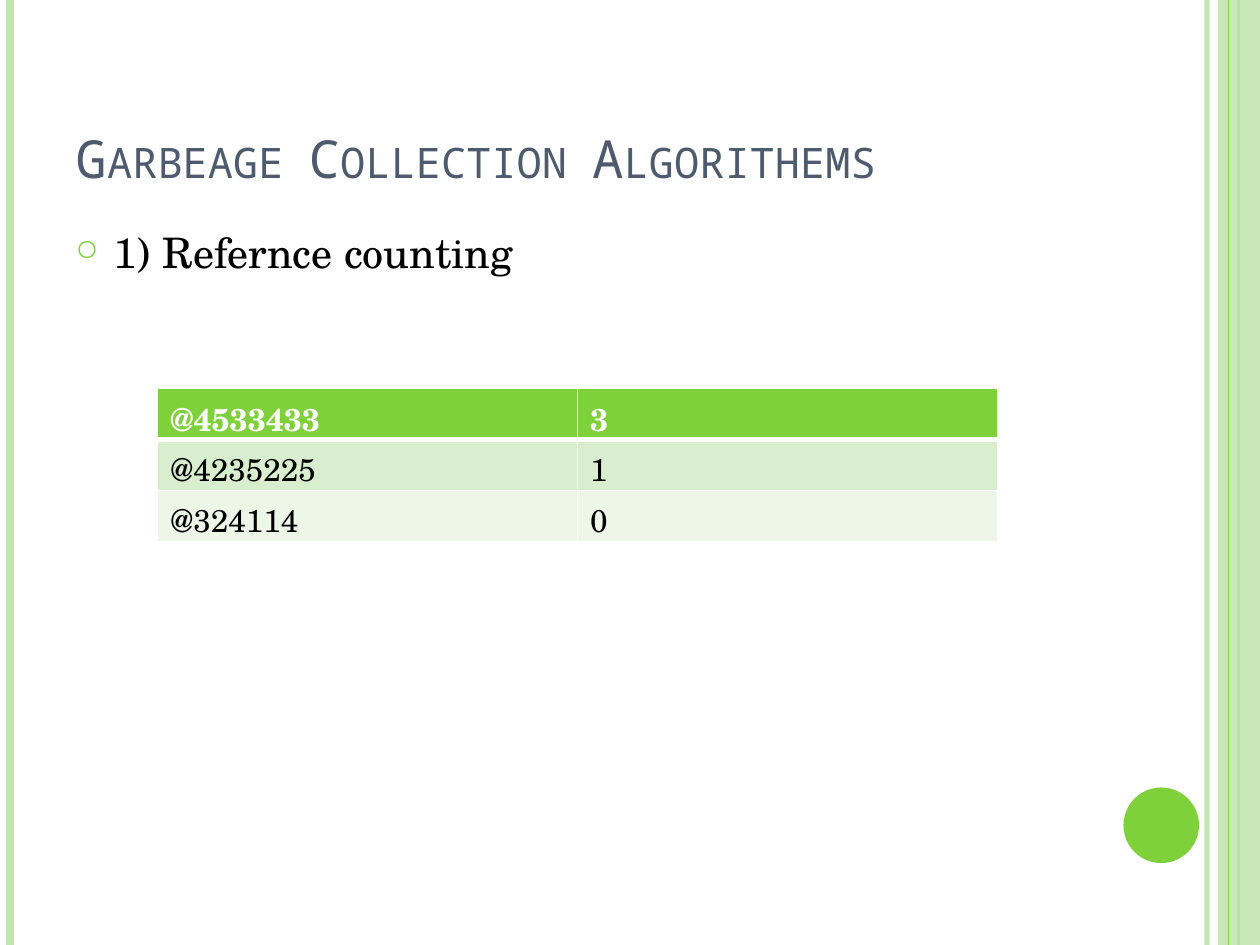
"""Build the slide on garbage collection by reference counting."""
import pptx
import pptx.util
import pptx.dml.color
import pptx.enum.shapes
import pptx.enum.text
import pptx.oxml
import lxml.etree

Pt = pptx.util.Pt
NAMESPACE = "http://schemas.openxmlformats.org/drawingml/2006/main"
COLORS = {"green": "7FD13B", "pale": "C0E5AF", "slate": "4E5B6F", "black": "000000",
          "white": "FFFFFF", "band": "D8EECE", "light": "ECF7E8"}
BODY_FONT = "TeX Gyre Schola"


def add_xml(parent, markup):
    """Append a drawing element written with the prefix a."""
    head, mark, tail = markup.partition(" ")
    head = head.rstrip("/>") if not mark else head
    element = pptx.oxml.parse_xml(f'{head} xmlns:a="{NAMESPACE}" {tail or "/>"}')
    parent.append(element)


def style(span, font, size, color, bold=False):
    """Format one run of text."""
    span.font.name = font
    span.font.size = Pt(size)
    span.font.bold = bold
    span.font.color.rgb = pptx.dml.color.RGBColor.from_string(COLORS[color])


deck = pptx.Presentation()
deck.slide_width, deck.slide_height = Pt(720), Pt(540)
page = deck.slides.add_slide(deck.slide_layouts[5])

stripes = [(689.8, "pale", 3, 93), (5.8, "pale", 4.5, 100),
           (707.8, "green", 1.5, 100), (702, "green", 0.75, 100)]
for x, color, width, opacity in stripes:
    stripe = page.shapes.add_connector(
        pptx.enum.shapes.MSO_CONNECTOR.STRAIGHT, Pt(x), Pt(0), Pt(x), Pt(540))
    stripe.line.width = Pt(width)
    stripe.line.color.rgb = pptx.dml.color.RGBColor.from_string(COLORS[color])
    if opacity < 100:
        tint = stripe.line._ln.find(f".//{{{NAMESPACE}}}srgbClr")
        add_xml(tint, f'<a:alpha val="{opacity * 1000}"/>')
    add_xml(stripe._element.spPr, "<a:effectLst/>")
top_stripe = stripe

band = page.shapes.add_shape(
    pptx.enum.shapes.MSO_SHAPE.RECTANGLE, Pt(696), Pt(0), Pt(24), Pt(540))
dot = page.shapes.add_shape(
    pptx.enum.shapes.MSO_SHAPE.OVAL, Pt(642), Pt(450), Pt(43.2), Pt(43.2))
for shape, color in [(band, "pale"), (dot, "green")]:
    shape.shadow.inherit = False
    shape.fill.solid()
    shape.fill.fore_color.rgb = pptx.dml.color.RGBColor.from_string(COLORS[color])
    shape.line.fill.background()
add_xml(band._element.spPr.find(f".//{{{NAMESPACE}}}srgbClr"), '<a:alpha val="87000"/>')
band._element.addnext(top_stripe._element)

title = page.shapes.title
title.left, title.top, title.width, title.height = Pt(36), Pt(21.6), Pt(588), Pt(90)
title.text_frame.text = "Garbeage Collection Algorithems"
title.text_frame.vertical_anchor = pptx.enum.text.MSO_ANCHOR.BOTTOM
heading = title.text_frame.paragraphs[0]
heading.alignment = pptx.enum.text.PP_ALIGN.LEFT
style(heading.runs[0], "Noto Sans Mono", 30, "slate")
heading.runs[0].font._element.set("cap", "small")

box = page.shapes.add_textbox(Pt(36), Pt(126), Pt(588), Pt(384))
box.text_frame.word_wrap = True
box.text_frame.text = "1) Refernce counting"
para = box.text_frame.paragraphs[0]
para.space_before = Pt(6)
style(para.runs[0], BODY_FONT, 24, "black")
properties = para._p.get_or_add_pPr()
properties.set("marL", str(Pt(21.6)))
properties.set("indent", str(Pt(-21.6)))
add_xml(properties, f'<a:buClr ><a:srgbClr val="{COLORS["green"]}"/></a:buClr>')
add_xml(properties, '<a:buSzPct val="70000"/>')
add_xml(properties, '<a:buChar char="○"/>')

counts = [("@4533433", "3"), ("@4235225", "1"), ("@324114", "0")]
fills = ["green", "band", "light"]
table = page.shapes.add_table(3, 2, Pt(90), Pt(222), Pt(480), Pt(87.6)).table
for row, values in enumerate(counts):
    for column, value in enumerate(values):
        cell = table.cell(row, column)
        cell.text_frame.text = value
        style(cell.text_frame.paragraphs[0].runs[0], BODY_FONT, 18,
              "black" if row else "white", bold=row == 0)
        for side in "LRTB":
            heavy = (row, side) in [(0, "B"), (1, "T")]
            add_xml(cell._tc.get_or_add_tcPr(),
                    f'<a:ln{side} w="{Pt(3 if heavy else 1)}"><a:solidFill>'
                    f'<a:srgbClr val="{COLORS["white"]}"/></a:solidFill></a:ln{side}>')
        cell.fill.solid()
        cell.fill.fore_color.rgb = pptx.dml.color.RGBColor.from_string(COLORS[fills[row]])

deck.save("out.pptx")
